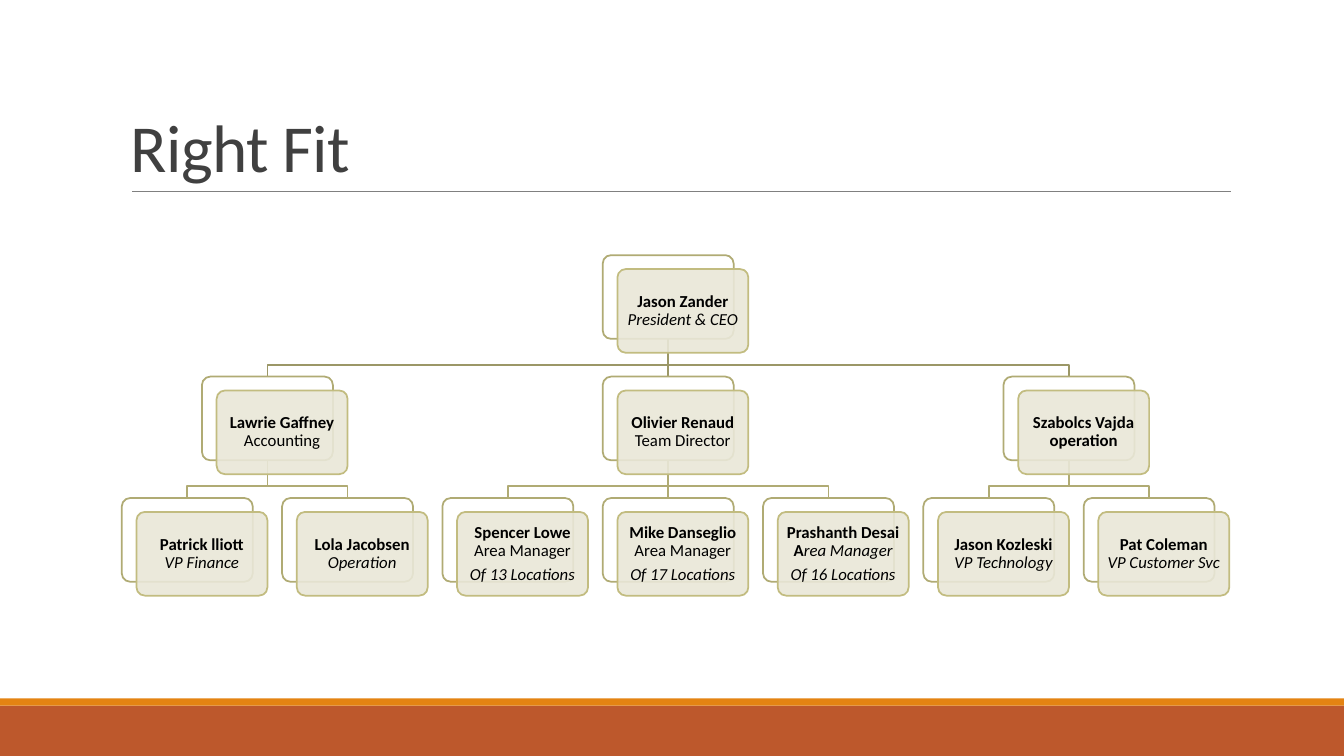
from lxml.etree import SubElement
from pptx import Presentation
from pptx.dml.color import RGBColor
from pptx.enum.shapes import MSO_CONNECTOR as LINE, MSO_SHAPE as SHAPE
from pptx.enum.text import MSO_ANCHOR as ANCHOR, PP_ALIGN as ALIGN
from pptx.oxml.ns import qn
from pptx.util import Cm, Pt

FONT = "Calibri"
WHITE = RGBColor(0xFF, 0xFF, 0xFF)
BLACK = RGBColor(0x00, 0x00, 0x00)
TITLE_GREY = RGBColor(0x40, 0x40, 0x40)
RULE_GREY = RGBColor(0x80, 0x80, 0x80)
RUST = RGBColor(0xBD, 0x58, 0x2C)
ORANGE = RGBColor(0xE4, 0x83, 0x12)
CARD_FILL = RGBColor(0xE9, 0xE7, 0xD8)
CARD_EDGE = RGBColor(0xC2, 0xBC, 0x80)
BACK_EDGE = RGBColor(0xB0, 0xAB, 0x74)
LINK_COLOURS = [RGBColor(0x9B, 0x97, 0x67), BACK_EDGE]  # by level of the parent

TITLE = "Right Fit"


def person(*paragraphs, reports=()):
    """Describe one person: paragraphs of (text, style) runs, and their reports."""
    return {"paragraphs": paragraphs, "reports": reports}


# Styles: "b" bold, "i" italic, "" plain
CHIEF = person(
    [("Jason Zander\n", "b"), ("President & CEO", "i")],
    reports=[
        person([("Lawrie Gaffney\n", "b"), ("Accounting", "")], reports=[
            person([("Patrick lliott\n", "b"), ("VP Finance", "i")]),
            person([("Lola Jacobsen\n", "b"), ("Operation", "i")]),
        ]),
        person([("Olivier Renaud\n", "b"), ("Team Director", "")], reports=[
            person([("Spencer Lowe\n", "b"), ("Area Manager", "")],
                   [("Of 13 Locations", "i")]),
            person([("Mike Danseglio\n", "b"), ("Area Manager", "")],
                   [("Of 17 Locations", "i")]),
            person([("Prashanth Desai\nA", "b"), ("rea Manager", "i")],
                   [("Of 16 Locations", "i")]),
        ]),
        person([("Szabolcs Vajda\noperation", "b")], reports=[
            person([("Jason Kozleski\n", "b"), ("VP Technology", "i")]),
            person([("Pat Coleman\n", "b"), ("VP Customer Svc", "i")]),
        ]),
    ],
)

# Chart geometry in centimetres
CHART_LEFT, CHART_TOP = 3.07, 6.43
COLUMN_STEP, ROW_STEP = 4.04, 3.06
BOX_WIDTH, BOX_HEIGHT = 3.3, 2.11
CARD_SHIFT_X, CARD_SHIFT_Y = 0.37, 0.35
BEND_DROP = 0.65


def write_text(frame, paragraphs, size, colour, align=ALIGN.LEFT, anchor=ANCHOR.MIDDLE,
               line_spacing=0.9, space_after=0, inset=(0.25, 0.13), tracking=None):
    """Fill a text frame with paragraphs of (text, style) runs."""
    frame.word_wrap = True
    frame.vertical_anchor = anchor
    frame.margin_left = frame.margin_right = Cm(inset[0])
    frame.margin_top = frame.margin_bottom = Cm(inset[1])
    for index, runs in enumerate(paragraphs):
        para = frame.paragraphs[0] if index == 0 else frame.add_paragraph()
        para.alignment, para.line_spacing = align, line_spacing
        para.space_after = Pt(space_after)
        for text, style in runs:
            for number, piece in enumerate(text.split("\n")):
                if number:
                    para.add_line_break()
                if not piece:
                    continue
                span = para.add_run()
                span.text = piece
                span.font.name, span.font.size = FONT, Pt(size)
                span.font.color.rgb = colour
                span.font.bold, span.font.italic = "b" in style, "i" in style
                if tracking is not None:
                    span.font._element.set("spc", str(int(tracking * 100)))


def add_box(kind, left, top, width, height, fill, edge=None, opacity=None):
    """Add a flat shape, with an outline and transparency if asked for."""
    box = page.shapes.add_shape(kind, Cm(left), Cm(top), Cm(width), Cm(height))
    box.shadow.inherit = False
    box.fill.solid()
    box.fill.fore_color.rgb = fill
    if edge is None:
        box.line.fill.background()
    else:
        box.line.color.rgb, box.line.width = edge, Pt(1.25)
    if kind == SHAPE.ROUNDED_RECTANGLE:
        box.adjustments[0] = 0.1
    if opacity is not None:
        colour = box._element.spPr.find(qn("a:solidFill"))[0]
        SubElement(colour, qn("a:alpha")).set("val", str(opacity * 1000))
    return box


def add_line(start, end, colour, width):
    """Add a straight line without a shadow."""
    line = page.shapes.add_connector(LINE.STRAIGHT, *map(Cm, start + end))
    line.line.color.rgb, line.line.width = colour, Pt(width)
    SubElement(line._element.spPr, qn("a:effectLst"))


def add_link(start, end, colour):
    """Join a parent to a report, with a bend unless the report is right below."""
    if abs(start[0] - end[0]) < 0.01:
        add_line(start, end, colour, 1.25)
        return
    bend = start[1] + BEND_DROP
    points = [start, (start[0], bend), (end[0], bend), end]
    corners = [(Cm(x), Cm(y)) for x, y in points]
    builder = page.shapes.build_freeform(*corners[0])
    builder.add_line_segments(corners[1:], close=False)
    link = builder.convert_to_shape()
    link.shadow.inherit = False
    link.fill.background()
    link.line.color.rgb, link.line.width = colour, Pt(1.25)


def place(node, level=0, first_column=0):
    """Centre each person over their reports; return the next free column."""
    next_column = first_column
    for report in node["reports"]:
        next_column = place(report, level + 1, next_column)
    columns = [report["column"] for report in node["reports"]] or [first_column]
    node["column"], node["level"] = sum(columns) / len(columns), level
    node["left"] = CHART_LEFT + node["column"] * COLUMN_STEP
    node["top"] = CHART_TOP + level * ROW_STEP
    return max(next_column, first_column + 1)


def draw_links(node):
    """Draw the lines below a person, lower levels first."""
    start = (node["left"] + BOX_WIDTH / 2, node["top"] + BOX_HEIGHT)
    for report in node["reports"]:
        draw_links(report)
        end = (report["left"] + BOX_WIDTH / 2, report["top"])
        add_link(start, end, LINK_COLOURS[node["level"]])


def draw_cards(node):
    """Draw a person's back box and text card, then those of their reports."""
    left, top = node["left"], node["top"]
    add_box(SHAPE.ROUNDED_RECTANGLE, left, top, BOX_WIDTH, BOX_HEIGHT, WHITE, BACK_EDGE)
    card = add_box(SHAPE.ROUNDED_RECTANGLE, left + CARD_SHIFT_X, top + CARD_SHIFT_Y,
                   BOX_WIDTH, BOX_HEIGHT, CARD_FILL, CARD_EDGE, opacity=90)
    write_text(card.text_frame, node["paragraphs"], 12, BLACK, align=ALIGN.CENTER,
               space_after=4.2, inset=(0.13, 0.13))
    for report in node["reports"]:
        draw_cards(report)


deck = Presentation()
deck.slide_width, deck.slide_height = Cm(33.87), Cm(19.05)
page = deck.slides.add_slide(deck.slide_layouts[6])

add_box(SHAPE.RECTANGLE, 0, 17.78, 33.87, 1.27, RUST)
add_box(SHAPE.RECTANGLE, 0, 17.6, 33.87, 0.18, ORANGE)
add_line((3.33, 4.82), (31.01, 4.82), RULE_GREY, 0.5)

title = page.shapes.add_textbox(Cm(3.05), Cm(0.79), Cm(27.94), Cm(4.03))
write_text(title.text_frame, [[(TITLE, "")]], 48, TITLE_GREY, anchor=ANCHOR.BOTTOM,
           line_spacing=0.85, tracking=-0.5)

place(CHIEF)
draw_links(CHIEF)
draw_cards(CHIEF)

deck.save("out.pptx")
